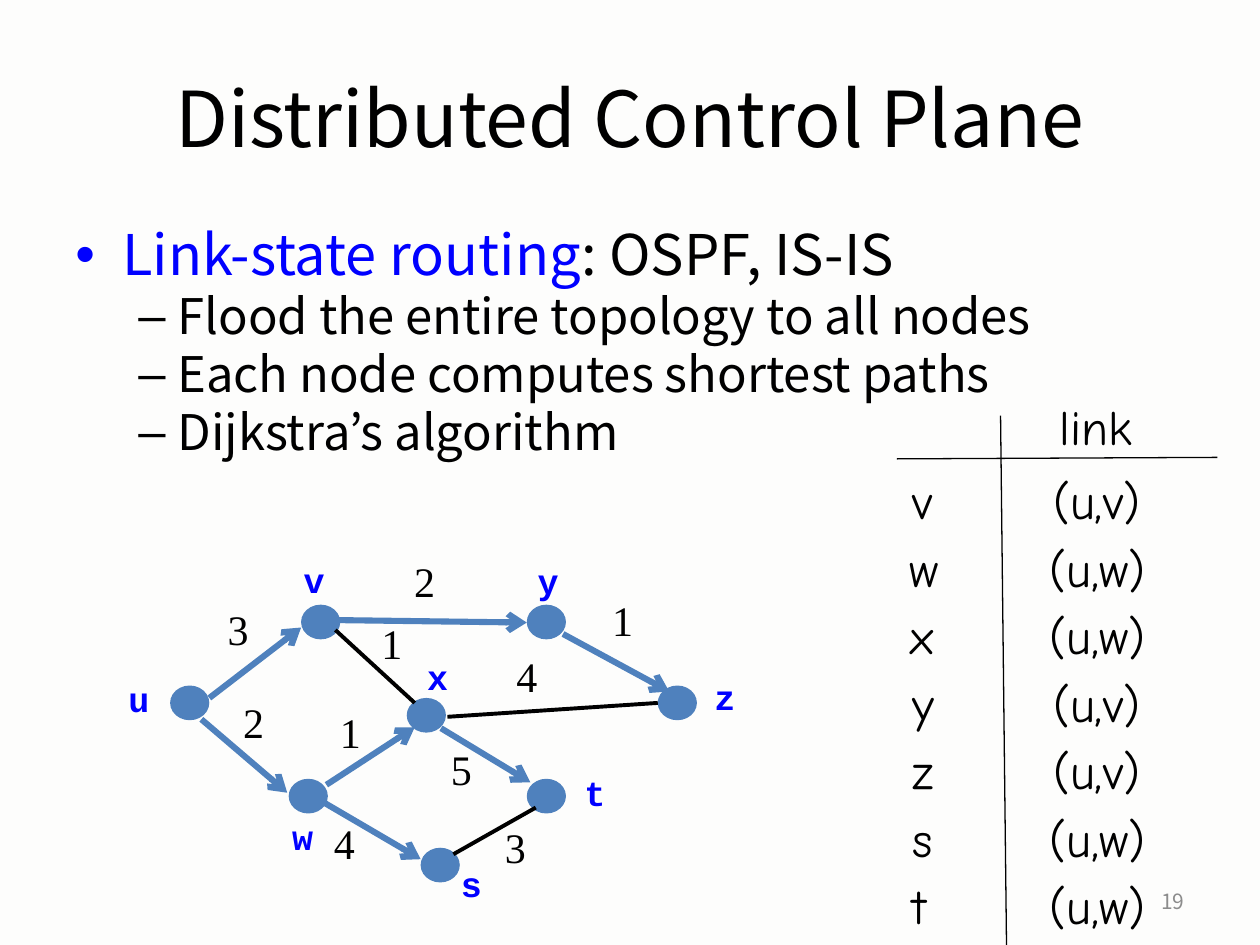
import pptx
import pptx.util
import pptx.dml.color
import pptx.enum.shapes
import pptx.enum.text
import pptx.oxml.ns
import lxml.etree

Cm, Pt = pptx.util.Cm, pptx.util.Pt
RGBColor = pptx.dml.color.RGBColor
ALIGN = pptx.enum.text.PP_ALIGN
ANCHOR = pptx.enum.text.MSO_ANCHOR
qn = pptx.oxml.ns.qn

PAPER = RGBColor(0xFD, 0xFD, 0xFC)
BLACK = RGBColor(0, 0, 0)
BLUE = RGBColor(0, 0, 0xFF)
STEEL = RGBColor(0x4F, 0x81, 0xBD)
GREY = RGBColor(0x8C, 0x8C, 0x8C)
SANS, COMIC = "Noto Sans CJK JP", "Comic Neue"
SERIF, MONO = "Times New Roman", "Courier New"

deck = pptx.Presentation()
deck.slide_width, deck.slide_height = Cm(25.4), Cm(19.05)
slide = deck.slides.add_slide(deck.slide_layouts[6])
slide.background.fill.solid()
slide.background.fill.fore_color.rgb = PAPER


def add_label(text, left, top, width, height, font, size, color=BLACK, bold=False):
    box = slide.shapes.add_textbox(Cm(left), Cm(top), Cm(width), Cm(height))
    box.text_frame.word_wrap = False
    run = box.text_frame.paragraphs[0].add_run()
    run.text = text
    run.font.name, run.font.size = font, Pt(size)
    run.font.color.rgb, run.font.bold = color, bold
    return box.text_frame


def add_line(x1, y1, x2, y2, color, width, arrow=False):
    line = slide.shapes.add_connector(
        pptx.enum.shapes.MSO_CONNECTOR.STRAIGHT, Cm(x1), Cm(y1), Cm(x2), Cm(y2))
    line.line.color.rgb, line.line.width = color, Pt(width)
    if arrow:
        lxml.etree.SubElement(line.line._get_or_add_ln(), qn("a:tailEnd"), type="arrow")
    lxml.etree.SubElement(line._element.spPr, qn("a:effectLst"))


# Title and slide number
title = add_label("Distributed Control Plane", 1.27, 0.76, 22.86, 3.18, SANS, 44)
number = add_label("19", 18.21, 17.65, 5.92, 1.02, SANS, 12, GREY)
for frame, align in ((title, ALIGN.CENTER), (number, ALIGN.RIGHT)):
    frame.word_wrap = True
    frame.vertical_anchor = ANCHOR.MIDDLE
    frame.paragraphs[0].alignment = align

# Bullet list: level, then runs of text and colour
points = [
    (0, [("Link-state routing", BLUE), (": OSPF, IS-IS", BLACK)]),
    (1, [("Flood the entire topology to all nodes", BLACK)]),
    (1, [("Each node computes shortest paths", BLACK)]),
    (1, [("Dijkstra’s algorithm", BLACK)]),
]
styles = [("•", 0.95, 0.95, 32), ("–", 2.06, 0.79, 28)]
body = slide.shapes.add_textbox(Cm(1.27), Cm(4.45), Cm(22.86), Cm(6.4)).text_frame
body.word_wrap = True
for i, (level, runs) in enumerate(points):
    mark, margin, hang, size = styles[level]
    para = body.paragraphs[0] if i == 0 else body.add_paragraph()
    para.level = level
    para.line_spacing = 0.9
    para.space_before = Pt(2.9 if i else 0)
    props = para._p.get_or_add_pPr()
    props.set("marL", str(Cm(margin)))
    props.set("indent", str(-Cm(hang)))
    lxml.etree.SubElement(props, qn("a:buFont"), typeface="Arial")
    lxml.etree.SubElement(props, qn("a:buChar"), char=mark)
    for text, color in runs:
        run = para.add_run()
        run.text = text
        run.font.name, run.font.size = SANS, Pt(size)
        run.font.color.rgb = color

# Routing table at node u
add_line(20.17, 8.38, 20.29, 19.05, BLACK, 0.75)
add_line(18.08, 9.25, 24.54, 9.22, BLACK, 0.75)
add_label("link", 21.11, 7.87, 2.11, 1.45, COMIC, 28)
routes = [("v", "v", 18.14, 0.99), ("w", "w", 18.08, 1.19), ("x", "w", 18.11, 1.09),
          ("y", "v", 18.14, 1.02), ("z", "v", 18.14, 1.04), ("s", "w", 18.14, 0.99),
          ("t", "w", 18.14, 0.99)]
for i, (goal, hop, left, width) in enumerate(routes):
    top = 9.37 + 1.36 * i
    add_label(goal, left, top, width, 1.45, COMIC, 28)
    x, w = (20.98, 2.49) if hop == "v" else (20.9, 2.69)
    add_label(f"(u,{hop})", x, top, w, 1.45, COMIC, 28)

# Nodes: name, dot corner, label corner, label width
nodes = [
    ("u", 3.43, 13.82, 2.34, 13.54, 0.94),
    ("w", 5.82, 15.7, 5.64, 16.31, 1.09),
    ("v", 6.07, 12.19, 5.87, 11.13, 0.89),
    ("x", 8.2, 14.07, 8.36, 13.08, 0.91),
    ("t", 10.62, 15.7, 11.53, 15.42, 0.74),
    ("y", 10.62, 12.19, 10.59, 11.15, 0.89),
    ("s", 8.48, 17.09, 9.04, 17.27, 0.91),
    ("z", 13.26, 13.82, 14.15, 13.49, 0.86),
]
for name, x, y, left, top, width in nodes:
    dot = slide.shapes.add_shape(
        pptx.enum.shapes.MSO_SHAPE.OVAL, Cm(x), Cm(y), Cm(0.79), Cm(0.7))
    dot.shadow.inherit = False
    dot.fill.solid()
    dot.fill.fore_color.rgb = STEEL
    dot.line.fill.background()
    add_label(name, left, top, width, 1.09, MONO, 20, BLUE, True)

# Links: ends, cost, cost corner, whether on a shortest path
links = [
    (4.22, 14.07, 6.07, 12.65, "3", 4.34, 12.04, True),
    (4.06, 14.5, 5.79, 15.98, "2", 4.65, 13.92, True),
    (6.76, 12.7, 8.36, 14.17, "1", 7.44, 12.32, False),
    (6.48, 16.15, 8.48, 17.32, "4", 6.48, 16.36, True),
    (6.58, 15.82, 8.36, 14.66, "1", 6.6, 14.12, True),
    (8.89, 14.68, 10.69, 15.77, "5", 8.84, 14.86, True),
    (9.14, 17.22, 10.8, 16.28, "3", 9.93, 16.43, False),
    (9.02, 14.45, 13.26, 14.17, "4", 10.16, 12.98, False),
    (6.78, 12.5, 10.62, 12.55, "2", 8.1, 11.07, True),
    (11.35, 12.78, 13.49, 13.94, "1", 12.09, 11.86, True),
]
for x1, y1, x2, y2, cost, left, top, best in links:
    add_line(x1, y1, x2, y2, STEEL if best else BLACK, 3.5 if best else 2.25, best)
    add_label(cost, left, top, 0.94, 1.27, SERIF, 24)

deck.save("out.pptx")
